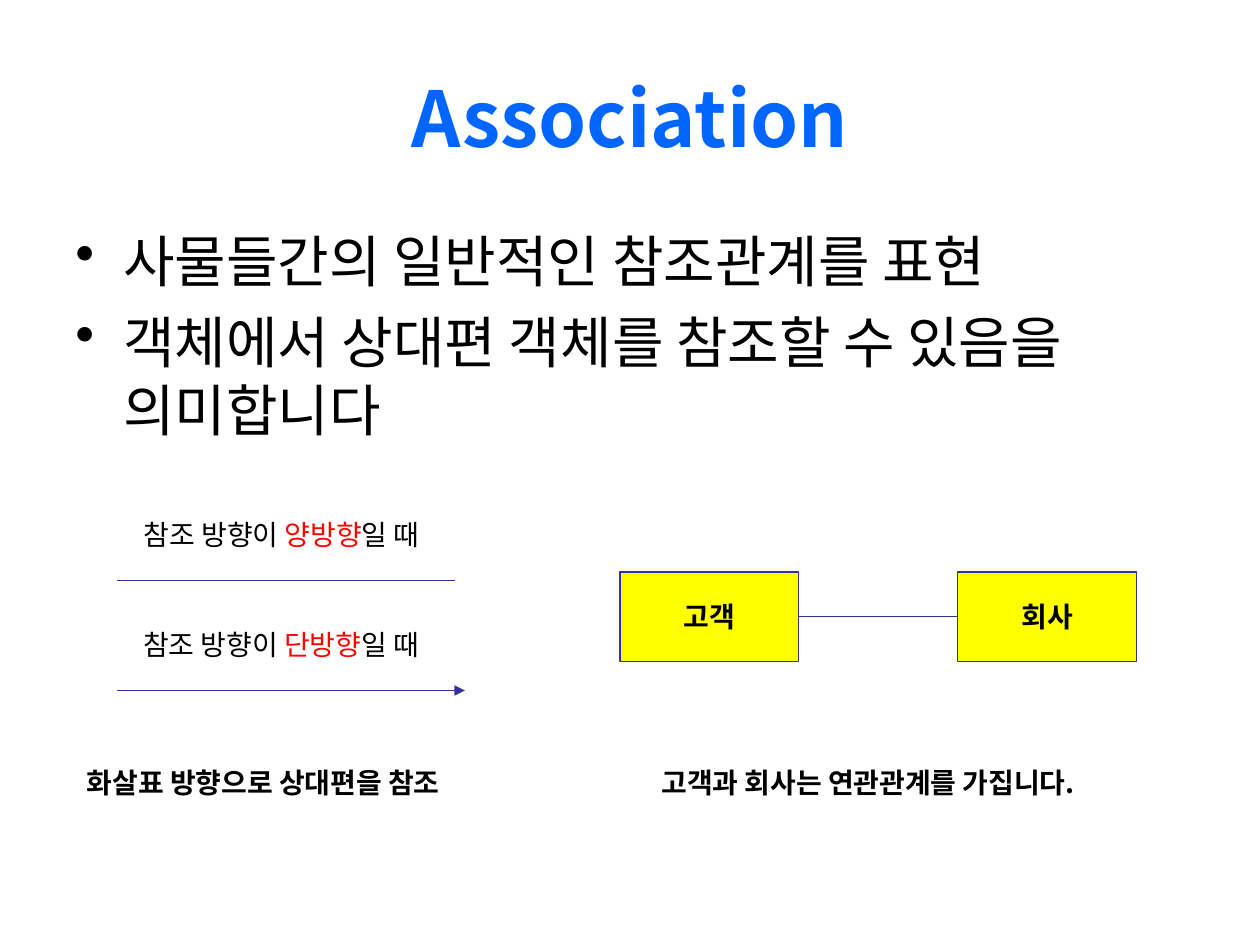
from pptx import Presentation
from pptx import util as u
from pptx.dml.color import RGBColor
from pptx.enum import shapes, text
from pptx.oxml.ns import qn
from lxml import etree

FONT = "Noto Sans CJK KR"
HUES = {"title": "0066FF", "ink": "000000", "key": "FF0000",
        "line": "333399", "box": "FFFF00"}

# Content
TITLE = "Association"
POINTS = ["사물들간의 일반적인 참조관계를 표현",
          "객체에서 상대편 객체를 참조할 수 있음을 의미합니다"]
# key word, label left, label width, line end, arrow
WAYS = [("양방향", 1.04, 2.39, 3.61, False),
        ("단방향", 1.02, 2.42, 3.69, True)]
NOTES = [("화살표 방향으로 상대편을 참조", 0.59, 4.09, "LEFT"),
         ("고객과 회사는 연관관계를 가집니다.", 5.13, 3.52, "CENTER")]
CLASSES = ["고객", "회사"]

# Layout
WAY_TOP, WAY_STEP, LINE_X, LINE_DROP = 4.06, 0.87, 0.93, 0.55
NOTE_TOP, NOTE_H = 6.03, 0.37
BOX_X, BOX_Y, BOX_W, BOX_H, BOX_STEP = 4.92, 4.54, 1.42, 0.71, 2.68


def hue(name):
    return RGBColor.from_string(HUES[name])


def write(para, parts, size, bold=False, align="CENTER"):
    """Add (words, colour) parts to a paragraph as runs."""
    para.alignment = text.PP_ALIGN[align]
    for words, tint in parts:
        run = para.add_run()
        run.text = words
        font = run.font
        font.name, font.size, font.bold = FONT, u.Pt(size), bold
        font.color.rgb = hue(tint)
        face = etree.SubElement(run._r.get_or_add_rPr(), qn("a:ea"))
        face.set("typeface", FONT)


def add_text(slide, area, wrap=True):
    box = slide.shapes.add_textbox(*map(u.Inches, area))
    box.text_frame.word_wrap = wrap
    return box.text_frame


def add_line(slide, x1, x2, y, arrow=False):
    line = slide.shapes.add_connector(
        shapes.MSO_CONNECTOR.STRAIGHT, *map(u.Inches, (x1, y, x2, y)))
    line.line.color.rgb = hue("line")
    line.line.width = u.Pt(0.75)
    if arrow:
        tip = etree.SubElement(line.line._get_or_add_ln(), qn("a:tailEnd"))
        tip.set("type", "triangle")
    etree.SubElement(line._element.spPr, qn("a:effectLst"))


def add_bullet(para):
    props = para._p.get_or_add_pPr()
    props.set("marL", str(u.Inches(0.38)))
    props.set("indent", str(-u.Inches(0.38)))
    etree.SubElement(props, qn("a:buChar")).set("char", "•")


def main():
    deck = Presentation()
    deck.slide_width, deck.slide_height = u.Inches(10), u.Inches(7.5)
    slide = deck.slides.add_slide(deck.slide_layouts[5])

    # Title
    head = slide.shapes.title
    head.left, head.top, head.width, head.height = map(
        u.Inches, (0.5, 0.3, 9, 1.25))
    head.text_frame.vertical_anchor = text.MSO_ANCHOR.MIDDLE
    write(head.text_frame.paragraphs[0], [(TITLE, "title")], 44, True)

    # Bullet points
    frame = add_text(slide, (0.5, 1.75, 9, 2.87))
    for i, point in enumerate(POINTS):
        para = frame.add_paragraph() if i else frame.paragraphs[0]
        para.space_before = u.Pt(8)
        add_bullet(para)
        write(para, [(point, "ink")], 32, align="LEFT")

    # Reference directions
    for i, (key, left, width, end, arrow) in enumerate(WAYS):
        top = WAY_TOP + i * WAY_STEP
        frame = add_text(slide, (left, top, width, NOTE_H), wrap=False)
        write(frame.paragraphs[0],
              [("참조 방향이 ", "ink"), (key, "key"), ("일 때", "ink")], 16)
        add_line(slide, LINE_X, end, top + LINE_DROP, arrow)

    # Class boxes and their association
    for i, name in enumerate(CLASSES):
        area = (BOX_X + i * BOX_STEP, BOX_Y, BOX_W, BOX_H)
        box = slide.shapes.add_shape(
            shapes.MSO_SHAPE.RECTANGLE, *map(u.Inches, area))
        box.shadow.inherit = False
        box.fill.solid()
        box.fill.fore_color.rgb = hue("box")
        box.line.color.rgb = hue("line")
        box.line.width = u.Pt(0.75)
        box.text_frame.vertical_anchor = text.MSO_ANCHOR.MIDDLE
        write(box.text_frame.paragraphs[0], [(name, "ink")], 16, True)
    add_line(slide, BOX_X + BOX_W, BOX_X + BOX_STEP, BOX_Y + BOX_H / 2)

    # Captions
    for words, left, width, align in NOTES:
        frame = add_text(slide, (left, NOTE_TOP, width, NOTE_H))
        write(frame.paragraphs[0], [(words, "ink")], 16, True, align)

    deck.save("out.pptx")


if __name__ == "__main__":
    main()
